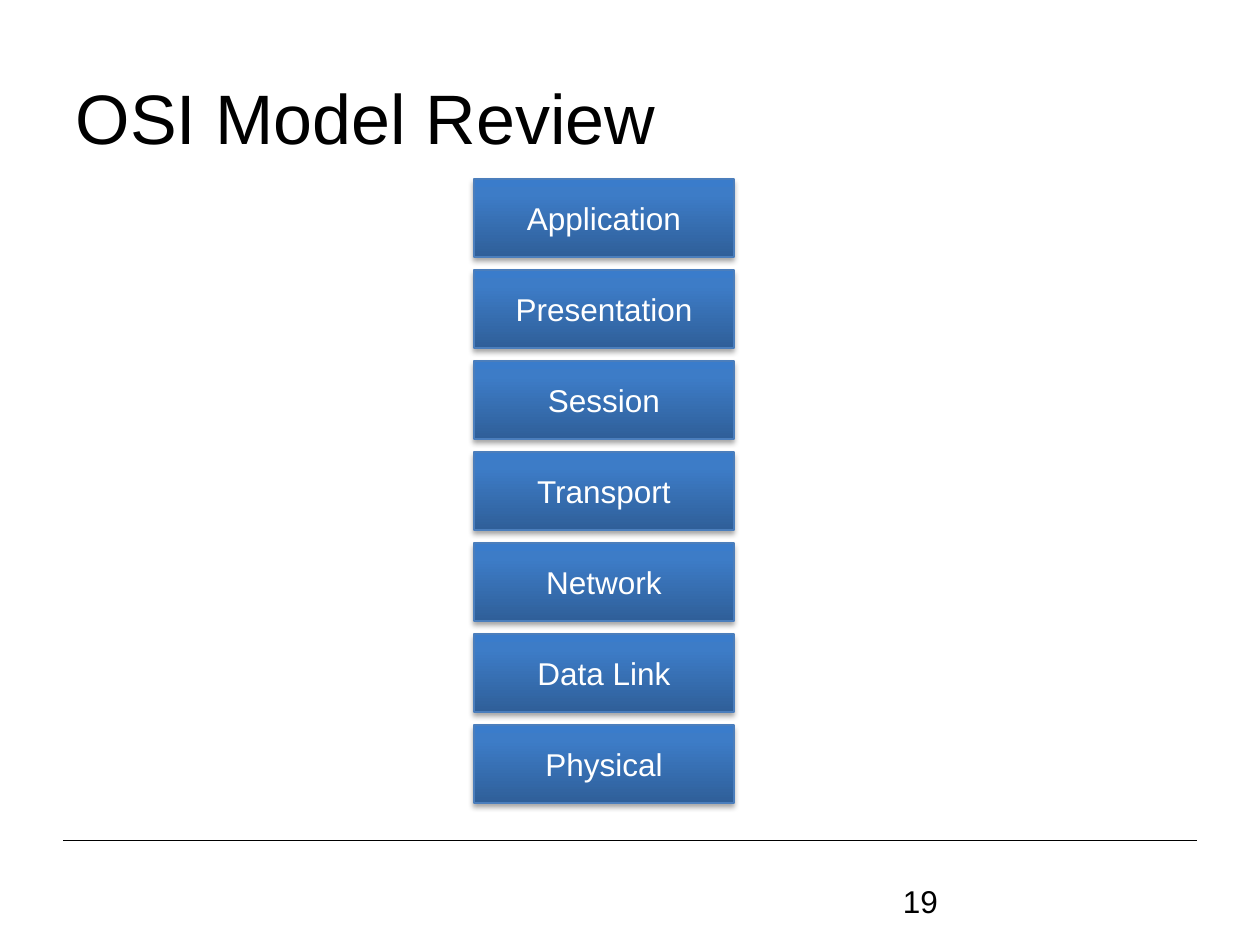
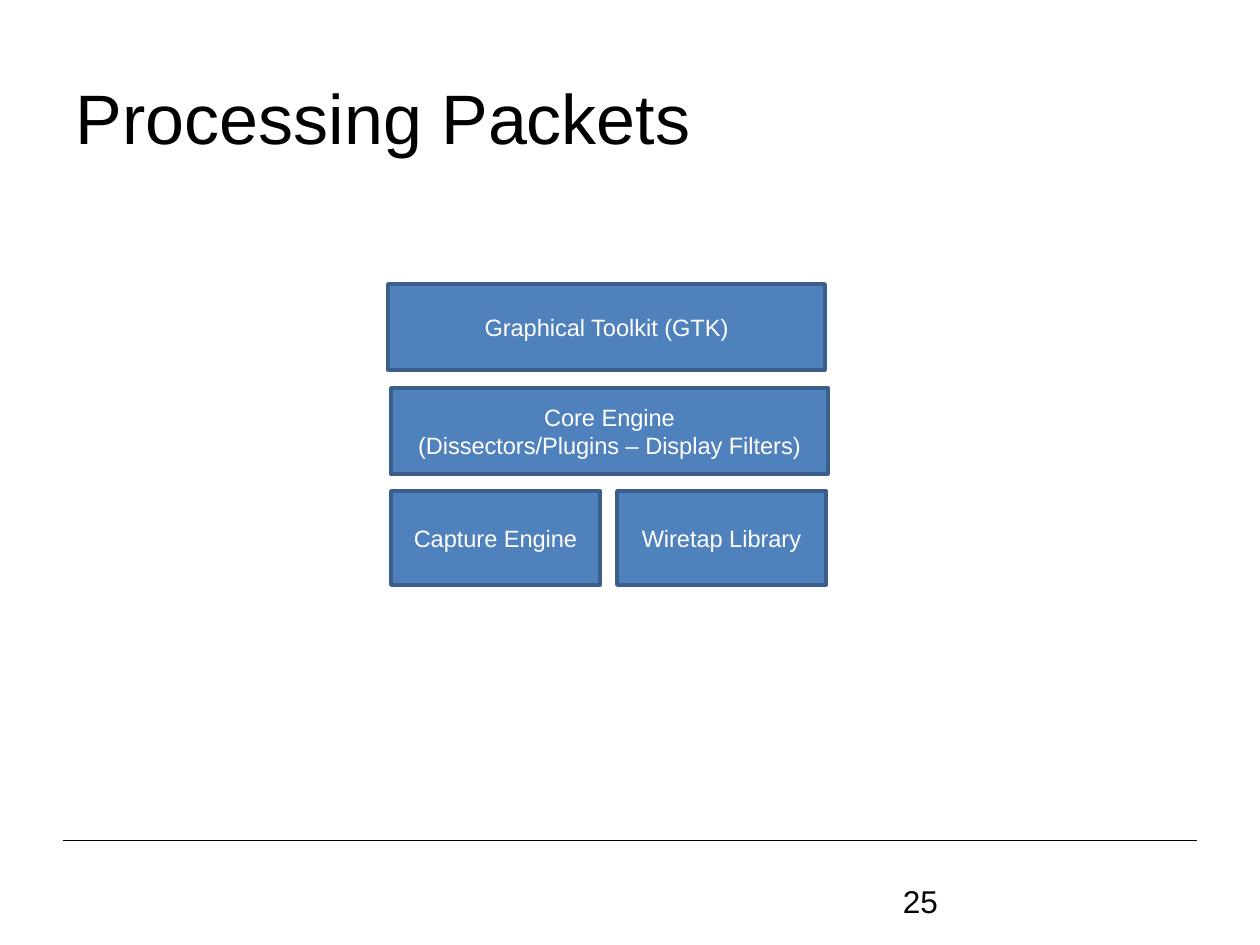
from copy import deepcopy

from lxml import etree
from pptx import Presentation
from pptx.dml.color import RGBColor
from pptx.enum.shapes import MSO_CONNECTOR, MSO_SHAPE
from pptx.enum.text import MSO_ANCHOR, PP_ALIGN
from pptx.oxml.ns import qn
from pptx.util import Emu, Pt

RECTANGLE = MSO_SHAPE.RECTANGLE
STRAIGHT = MSO_CONNECTOR.STRAIGHT
LEFT, CENTER = PP_ALIGN.LEFT, PP_ALIGN.CENTER
TOP, MIDDLE = MSO_ANCHOR.TOP, MSO_ANCHOR.MIDDLE

PX_PER_INCH = 126
COLORS = {
    "text": "000000",
    "box_text": "FFFFFF",
    "layer_line": "4B7EBC",
    "block": "4F81BD",
    "block_line": "3A5F8C",
    "shadow": "000000",
}
LAYER_STOPS = [(0, "2F5F99"), (0.8, "3D7CC7"), (1, "3A7CCB")]
LAYERS = ["Application", "Presentation", "Session", "Transport",
          "Network", "Data Link", "Physical"]
BLOCKS = [
    (["Graphical Toolkit (GTK)"], (388, 284, 437, 86)),
    (["Core Engine", "(Dissectors/Plugins – Display Filters)"], (391, 388, 437, 86)),
    (["Capture Engine"], (391, 491, 209, 94)),
    (["Wiretap Library"], (617, 491, 209, 94)),
]


def px(length):
    return Emu(round(length * 914400 / PX_PER_INCH))


def rgb(name):
    return RGBColor.from_string(COLORS[name])


def apply(target, values):
    for name, value in values.items():
        setattr(target, name, value)


def write(box, lines, size, color, align=LEFT, anchor=MIDDLE, insets=(13, 6)):
    side, end = map(px, insets)
    frame = box.text_frame
    apply(frame, {"word_wrap": True, "vertical_anchor": anchor,
                  "margin_left": side, "margin_right": side,
                  "margin_top": end, "margin_bottom": end})
    for index, line in enumerate(lines):
        para = frame.add_paragraph() if index else frame.paragraphs[0]
        para.alignment = align
        span = para.add_run()
        span.text = line
        apply(span.font, {"name": "Arial", "size": Pt(size)})
        span.font.color.rgb = rgb(color)


def add_text(page, text, bounds, size, anchor):
    box = page.shapes.add_textbox(*map(px, bounds))
    write(box, [text], size, "text", anchor=anchor)


def add_rule(page):
    rule = page.shapes.add_connector(STRAIGHT, px(63), px(840), px(1197), px(840))
    rule.line.color.rgb = rgb("text")
    rule.line.width = Pt(0.5)
    etree.SubElement(rule._element.spPr, qn("a:effectLst"))


def add_page(deck, title, number):
    page = deck.slides.add_slide(deck.slide_layouts[6])
    add_rule(page)
    add_text(page, title, (63, 38, 1134, 158), 40, MIDDLE)
    add_text(page, str(number), (890, 876, 283, 50), 18, TOP)
    return page


def add_box(page, bounds, line_color, line_width):
    box = page.shapes.add_shape(RECTANGLE, *map(px, bounds))
    box.line.color.rgb = rgb(line_color)
    box.line.width = Pt(line_width)
    box.shadow.inherit = False
    return box


def add_gradient(box):
    box.fill.gradient()
    box.fill.gradient_angle = 90
    stop_list = box._element.spPr.find(".//" + qn("a:gsLst"))
    stop_list.append(deepcopy(stop_list[-1]))
    for stop, (position, color) in zip(box.fill.gradient_stops, LAYER_STOPS):
        stop.position = position
        stop.color.rgb = RGBColor.from_string(color)


def add_shadow(box):
    effects = box._element.spPr.find(qn("a:effectLst"))
    shadow = etree.SubElement(effects, qn("a:outerShdw"), blurRad=str(Pt(3.1)),
                              dist=str(Pt(1.8)), dir="5400000", rotWithShape="0")
    color = etree.SubElement(shadow, qn("a:srgbClr"), val=COLORS["shadow"])
    etree.SubElement(color, qn("a:alpha"), val="35000")


def add_layer(page, name, top):
    box = add_box(page, (474, top, 260, 78), "layer_line", 0.75)
    add_gradient(box)
    add_shadow(box)
    write(box, [name], 18, "box_text", CENTER)


def add_block(page, lines, bounds):
    box = add_box(page, bounds, "block_line", 2)
    box.fill.solid()
    box.fill.fore_color.rgb = rgb("block")
    write(box, lines, 13.5, "box_text", CENTER, insets=(9, 5))


def main():
    deck = Presentation()
    apply(deck, {"slide_width": px(1260), "slide_height": px(945)})

    page = add_page(deck, "OSI Model Review", 19)
    for index, name in enumerate(LAYERS):
        add_layer(page, name, 179 + 91 * index)

    page = add_page(deck, "Processing Packets", 25)
    for lines, bounds in BLOCKS:
        add_block(page, lines, bounds)

    deck.save("out.pptx")


if __name__ == "__main__":
    main()
